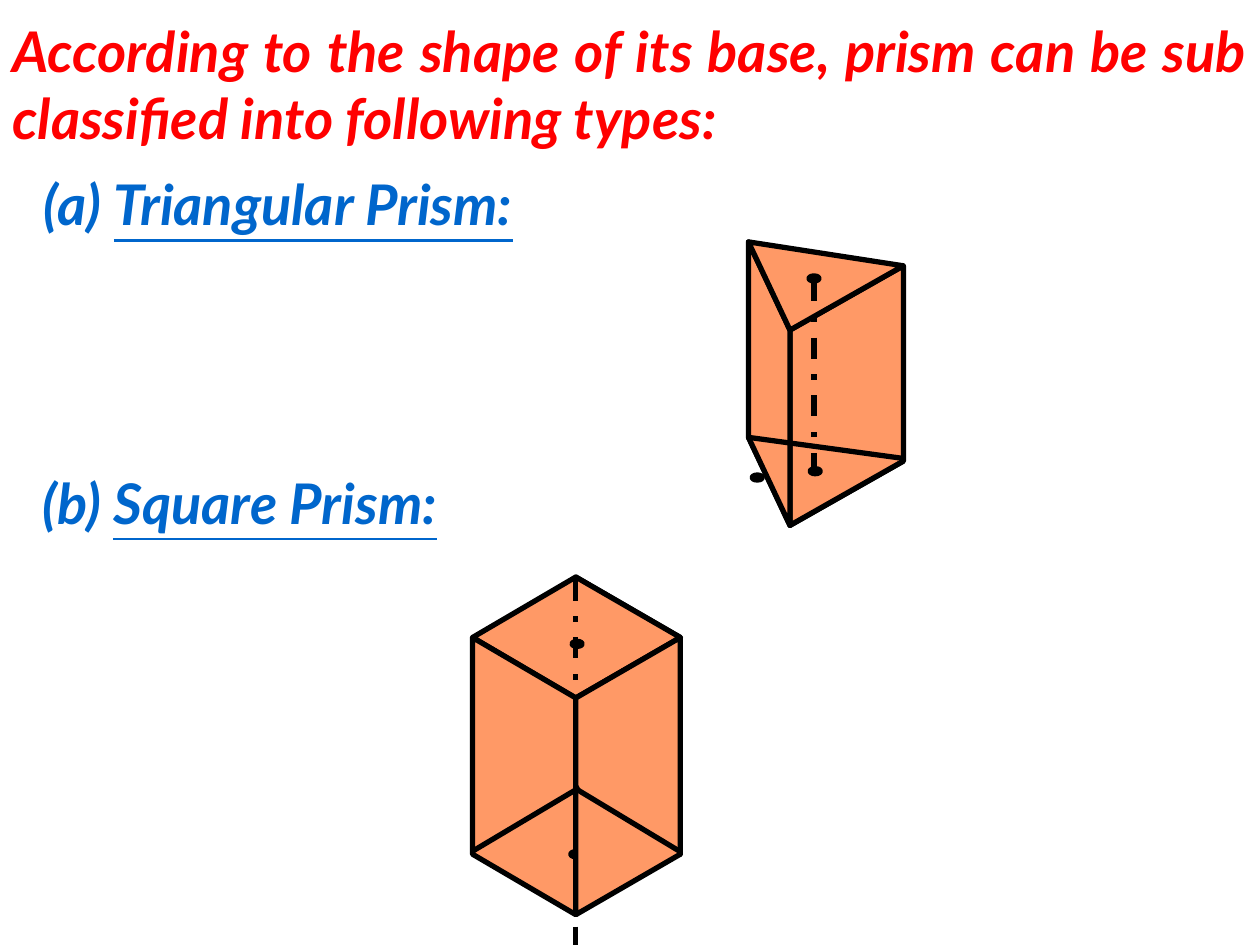
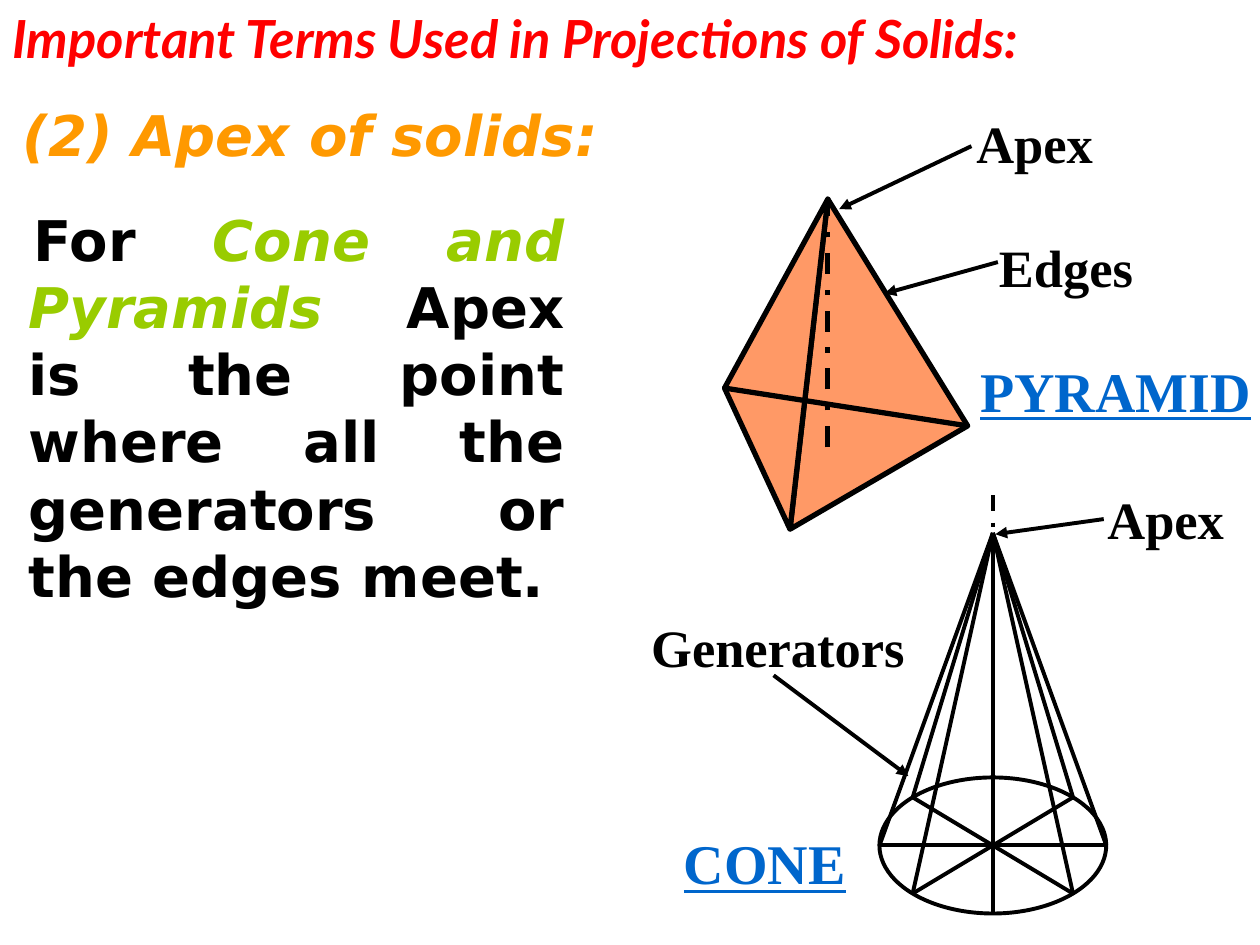
from dataclasses import dataclass
from math import cos, radians, sin

from lxml.etree import SubElement
from pptx import Presentation
from pptx.dml.color import RGBColor
from pptx.enum.dml import MSO_LINE
from pptx.enum.shapes import MSO_CONNECTOR, MSO_SHAPE
from pptx.enum.text import PP_ALIGN
from pptx.oxml.ns import qn
from pptx.util import Inches, Pt

RED, BLUE, BLACK = "FF0000", "0066CC", "000000"
ORANGE, LIME, PEACH = "FF9900", "99CC00", "FF9966"
LATO, SANS, SERIF = "Lato", "DejaVu Sans", "Times New Roman"
THICK, THIN = 3, 2.25

Point = tuple[float, float]


@dataclass
class Run:
    text: str
    color: str = BLACK
    italic: bool = False
    under: bool = False


@dataclass
class Text:
    left: float
    top: float
    width: float
    height: float
    runs: list[Run]
    font: str = SERIF
    size: float = 32
    justify: bool = False
    margin: float = 0
    indent: float = 0


@dataclass
class Line:
    start: Point
    end: Point
    width: float = THICK
    dash: bool = False
    arrow: bool = False


@dataclass
class Face:
    points: list[Point]


@dataclass
class Oval:
    left: float
    top: float
    width: float
    height: float
    line: float
    fill: str | None = None


def rgb(color: str) -> RGBColor:
    return RGBColor.from_string(color)


def add_text(slide, item: Text) -> None:
    box = slide.shapes.add_textbox(Inches(item.left), Inches(item.top),
                                   Inches(item.width), Inches(item.height))
    frame = box.text_frame
    frame.word_wrap = True
    para = frame.paragraphs[0]
    para.alignment = PP_ALIGN.JUSTIFY if item.justify else PP_ALIGN.LEFT
    props = para._p.get_or_add_pPr()
    props.set("marL", str(Inches(item.margin)))
    props.set("indent", str(Inches(item.indent)))
    for part in item.runs:
        run = para.add_run()
        run.text = part.text
        font = run.font
        font.name, font.size, font.bold = item.font, Pt(item.size), True
        font.italic, font.underline = part.italic, part.under
        font.color.rgb = rgb(part.color)


def add_line(slide, item: Line) -> None:
    ends = [Inches(value) for value in (*item.start, *item.end)]
    link = slide.shapes.add_connector(MSO_CONNECTOR.STRAIGHT, *ends)
    link.line.color.rgb = rgb(BLACK)
    link.line.width = Pt(item.width)
    if item.dash:
        link.line.dash_style = MSO_LINE.DASH_DOT
    if item.arrow:
        SubElement(link.line._get_or_add_ln(), qn("a:tailEnd"), type="triangle")
    SubElement(link._element.spPr, qn("a:effectLst"))


def style(shape, fill: str | None, width: float) -> None:
    shape.shadow.inherit = False
    if fill:
        shape.fill.solid()
        shape.fill.fore_color.rgb = rgb(fill)
    else:
        shape.fill.background()
    shape.line.color.rgb = rgb(BLACK)
    shape.line.width = Pt(width)


def add_face(slide, item: Face) -> None:
    first, *rest = [(Inches(x), Inches(y)) for x, y in item.points]
    form = slide.shapes.build_freeform(*first)
    form.add_line_segments(rest, close=True)
    style(form.convert_to_shape(), PEACH, THICK)


def add_oval(slide, item: Oval) -> None:
    shape = slide.shapes.add_shape(
        MSO_SHAPE.OVAL, Inches(item.left), Inches(item.top),
        Inches(item.width), Inches(item.height))
    style(shape, item.fill, item.line)


DRAW = {Text: add_text, Line: add_line, Face: add_face, Oval: add_oval}


def draw(slide, items: list) -> None:
    for item in items:
        DRAW[type(item)](slide, item)


def title(text: str, top: float, height: float, size: float) -> Text:
    return Text(0, top, 10, height, [Run(text, RED, italic=True)], LATO, size,
                justify=height > 1)


def heading(left: float, top: float, runs: list[Run], font: str) -> Text:
    return Text(left, top, 4.92, 0.63, runs, font, justify=True,
                margin=0.38, indent=-0.38)


def kind(mark: str, name: str, left: float, top: float) -> Text:
    return heading(left, top, [Run(mark, BLUE, True),
                               Run(name, BLUE, True, True)], LATO)


def label(text: str, left: float, top: float, width: float) -> Text:
    return Text(left, top, width, 0.6, [Run(text)], size=30)


def name(text: str, left: float, top: float, width: float) -> Text:
    return Text(left, top, width, 0.63, [Run(text, BLUE, under=True)])


def dot(x: float, y: float) -> Oval:
    """Small mark centred on a point."""
    return Oval(x - 0.04, y - 0.02, 0.08, 0.04, THICK, BLACK)


def side(top: Point, end: Point, drop: float) -> Face:
    """Upright face hanging below a top edge."""
    return Face([top, end, (end[0], end[1] + drop), (top[0], top[1] + drop)])


def tri_prism() -> list:
    left, front, right = (5.94, 1.92), (6.27, 2.62), (7.17, 2.11)
    drop = 1.55
    base = [(x, y + drop) for x, y in (left, front, right)]
    return [
        dot(6.01, 3.79),
        Face(base),
        side(front, right, drop),
        side(left, front, drop),
        Face([left, front, right]),
        dot(6.46, 2.21),
        Line((6.46, 2.22), (6.46, 3.77), dash=True),
        Line((5.93, 3.47), (7.18, 3.64)),
        dot(6.47, 3.74),
    ]


def square_prism() -> list:
    mid, drop = 4.57, 1.72
    back, front = (mid, 4.58), (mid, 5.54)
    left, right = (3.75, 5.06), (5.4, 5.06)
    return [
        side(back, right, drop),
        Face([front, right, back, left]),
        side(left, front, drop),
        dot(mid, 6.78),
        side(front, right, drop),
        Line((3.76, 6.75), (4.6, 6.25)),
        Line((5.4, 6.76), (mid, 6.26)),
        dot(4.58, 5.11),
        Line((mid, 4.6), (mid, 7.5), dash=True),
    ]


def pyramid() -> list:
    apex, left, front, right = (6.57, 1.58), (5.75, 3.08), (6.27, 4.2), (7.68, 3.38)
    return [
        Face([front, apex, right]),
        Face([left, apex, front]),
        Line((6.57, 3.55), apex, dash=True),
        Line(right, left),
    ]


def cone() -> list:
    x, y, wide, high = 7.88, 6.71, 0.9, 0.54
    apex = (x, 4.23)
    rim = [(x + wide * cos(radians(turn)), y + high * sin(radians(turn)))
           for turn in range(0, 360, 45)]
    return [
        Oval(x - wide, y - high, 2 * wide, 2 * high, THIN),
        *[Line(start, end, THIN) for start in (apex, (x, y)) for end in rim],
        Line((x, 3.93), (x, 6.95), THIN, dash=True),
    ]


def main() -> None:
    deck = Presentation()
    deck.slide_width, deck.slide_height = Inches(10), Inches(7.5)
    blank = deck.slide_layouts[6]

    draw(deck.slides.add_slide(blank), [
        title("According to the shape of its base, prism can be sub "
              "classified into following types:", 0.08, 1.17, 32),
        kind("(a) ", "Triangular Prism:", 0.25, 1.3),
        kind("(b) ", "Square Prism:", 0.24, 3.67),
        *tri_prism(),
        *square_prism(),
    ])

    draw(deck.slides.add_slide(blank), [
        title("Important Terms Used in Projections of Solids:", 0, 0.6, 30),
        heading(0.08, 0.75, [Run("(2) Apex of solids:", ORANGE, True)], SANS),
        Text(0, 1.58, 4.58, 3.3, [
            Run("For "),
            Run("Cone and Pyramids", LIME, True),
            Run(" Apex is the point where all the generators or the edges meet."),
        ], SANS, justify=True, margin=0.13, indent=0.04),
        *pyramid(),
        *cone(),
        label("Apex", 7.65, 0.83, 1.35),
        label("Edges", 7.83, 1.82, 1.42),
        label("Apex", 8.69, 3.82, 1.31),
        label("Generators", 5.07, 4.83, 2.51),
        *[Line(start, tip, THIN, arrow=True) for start, tip in (
            ((7.71, 1.16), (6.66, 1.66)),
            ((7.92, 2.08), (7.02, 2.33)),
            ((8.76, 4.12), (7.9, 4.24)),
            ((6.14, 5.36), (7.21, 6.16)),
        )],
        name("CONE", 5.33, 6.53, 1.73),
        name("PYRAMID", 7.68, 2.78, 2.48),
    ])
    deck.save("out.pptx")


if __name__ == "__main__":
    main()
